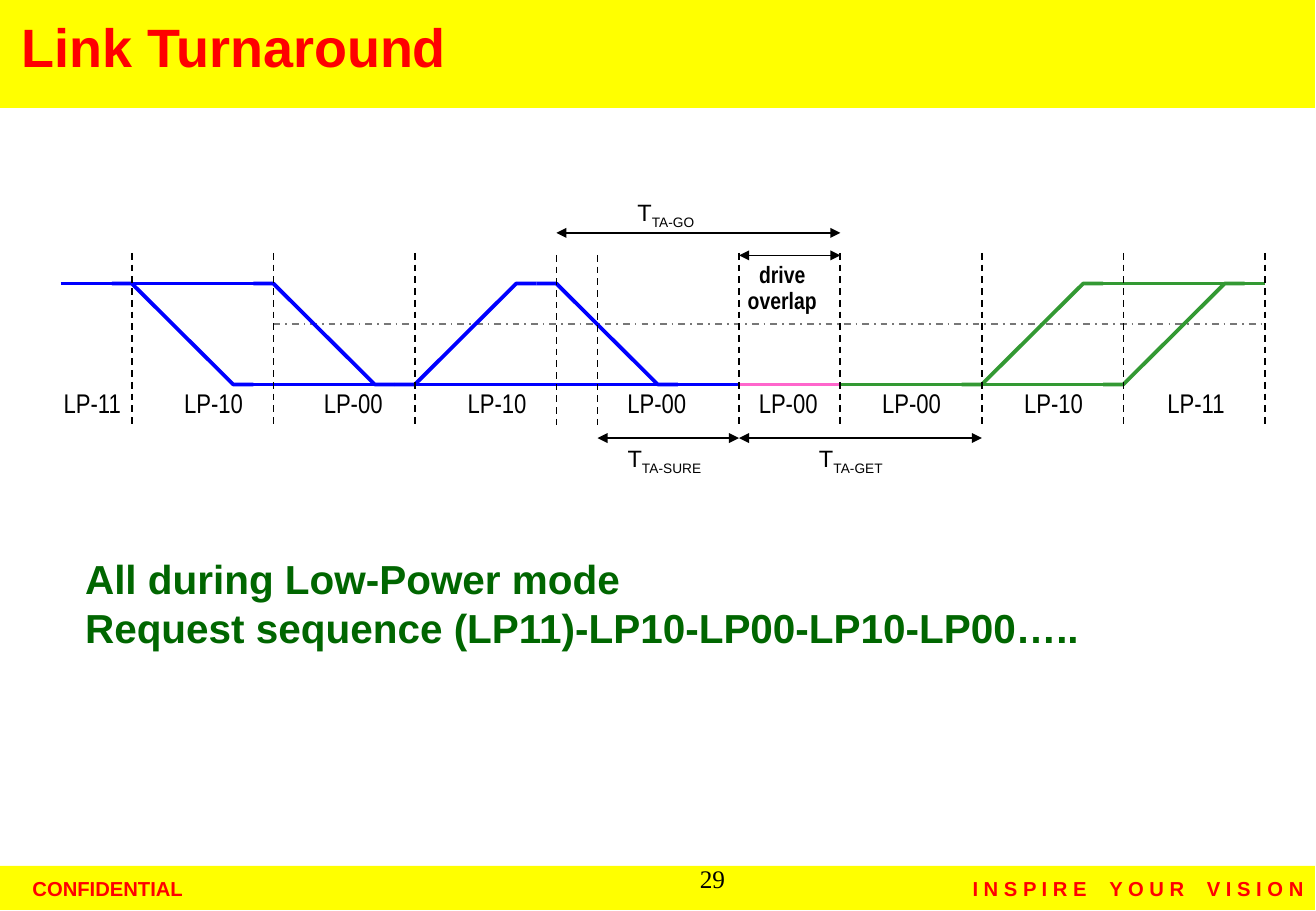
import pptx
import pptx.dml.color
import pptx.enum.dml
import pptx.enum.shapes
import pptx.enum.text
import pptx.oxml.ns
import pptx.util

Cm, Pt = pptx.util.Cm, pptx.util.Pt
RGB = pptx.dml.color.RGBColor.from_string
ALIGN = pptx.enum.text.PP_ALIGN
DASH = pptx.enum.dml.MSO_LINE
COLORS = {"bar": "FFFF00", "red": "FF0000", "body": "006600", "black": "000000",
          "master": "0000FF", "slave": "339933", "overlap": "FF66CC", "threshold": "777777"}


def add_line(x1, y1, x2, y2, color, width=1, dash=None, arrows=False):
    line = page.shapes.add_connector(
        pptx.enum.shapes.MSO_CONNECTOR.STRAIGHT, Cm(x1), Cm(y1), Cm(x2), Cm(y2))
    line.line.color.rgb = RGB(COLORS[color])
    line.line.width = Pt(width)
    if dash:
        line.line.dash_style = dash
    if arrows:
        outline = line.line._get_or_add_ln()
        for end in ("a:headEnd", "a:tailEnd"):
            outline.append(outline.makeelement(pptx.oxml.ns.qn(end), {"type": "triangle"}))
    properties = line._element.spPr
    properties.append(properties.makeelement(pptx.oxml.ns.qn("a:effectLst"), {}))


def write(box, paragraphs, size, color, font="Arial", bold=False, align=ALIGN.LEFT,
          spacing=1.0, before=0, margins=(0.25, 0.13), wrap=True):
    """Fill a shape with paragraphs, each a list of (text, run attributes)."""
    frame = box.text_frame
    frame.word_wrap = wrap
    frame.margin_left = frame.margin_right = Cm(margins[0])
    frame.margin_top = frame.margin_bottom = Cm(margins[1])
    for number, spans in enumerate(paragraphs):
        para = frame.add_paragraph() if number else frame.paragraphs[0]
        para.alignment = align
        para.line_spacing = spacing
        para.space_before = Pt(before)
        para.font.size = Pt(size)
        para.font.name = font
        para.font.bold = bold
        para.font.color.rgb = RGB(COLORS[color])
        for text, attributes in spans:
            span = para.add_run()
            span.text = text
            for name, value in attributes.items():
                span.font._element.set(name, value)


deck = pptx.Presentation()
deck.slide_width, deck.slide_height = Cm(27.53), Cm(19.05)
page = deck.slides.add_slide(deck.slide_layouts[5])

# Yellow bars behind the title and the footer
for top, height in ((0, 2.26), (18.11, 0.92)):
    bar = page.shapes.add_shape(pptx.enum.shapes.MSO_SHAPE.RECTANGLE,
                                Cm(0), Cm(top), Cm(27.51), Cm(height))
    bar.shadow.inherit = False
    bar.fill.solid()
    bar.fill.fore_color.rgb = RGB(COLORS["bar"])
    bar.line.fill.background()
    page.shapes._spTree.insert(2, bar._element)

title = page.shapes.title
title.left, title.top, title.width, title.height = Cm(0.15), Cm(0.13), Cm(26.87), Cm(1.9)
title.text_frame.vertical_anchor = pptx.enum.text.MSO_ANCHOR.TOP
write(title, [[("Link Turnaround", {})]], 32, "red", bold=True, margins=(0.3, 0.15))

body = page.shapes.add_textbox(Cm(1.48), Cm(11.63), Cm(25.4), Cm(4.83))
write(body, [[("All during Low-Power mode", {})],
             [("Request sequence (LP11)-LP10-LP00-LP10-LP00…..", {})]],
      24, "body", bold=True, spacing=0.8, before=6, margins=(0.3, 0.15))

# Time marks: equal states before and after the drive overlap
STATE, RAMP, LEAD = 2.96, 2.12, 0.42
HIGH, LOW, THRESHOLD = 5.93, 8.04, 6.77
start, sure, overlap_start, overlap_end = 2.76, 12.5, 15.46, 17.58
before_overlap = [start + STATE * step for step in range(4)]
after_overlap = [overlap_end + STATE * step for step in range(4)]
go = before_overlap[3]
get_end, finish = after_overlap[1], after_overlap[3]

# Signal levels
add_line(before_overlap[1], THRESHOLD, finish, THRESHOLD, "threshold", dash=DASH.DASH_DOT)
for x1, x2, level, color in (
        (1.27, before_overlap[1], HIGH, "master"),
        (5.08, overlap_start, LOW, "master"),
        (overlap_start, overlap_end, LOW, "overlap"),
        (overlap_end, 23.29, LOW, "slave"),
        (22.86, finish, HIGH, "slave")):
    add_line(x1, level, x2, level, color, 2.25)

# Signal edges
for x, first, last, color in (
        (before_overlap[0], HIGH, LOW, "master"),
        (before_overlap[1], HIGH, LOW, "master"),
        (before_overlap[2], LOW, HIGH, "master"),
        (go, HIGH, LOW, "master"),
        (after_overlap[1], LOW, HIGH, "slave"),
        (after_overlap[2], LOW, HIGH, "slave")):
    builder = page.shapes.build_freeform(Cm(x - LEAD), Cm(first))
    builder.add_line_segments([(Cm(x), Cm(first)), (Cm(x + RAMP), Cm(last)),
                               (Cm(x + RAMP + LEAD), Cm(last))], close=False)
    edge = builder.convert_to_shape()
    edge.shadow.inherit = False
    edge.fill.background()
    edge.line.color.rgb = RGB(COLORS[color])
    edge.line.width = Pt(2.25)

for x in before_overlap + [sure, overlap_start] + after_overlap:
    add_line(x, 5.33 if x in (go, sure) else 5.29, x, 8.88, "black", dash=DASH.DASH)

# Time spans
for x1, x2, y in ((go, overlap_end, 4.87), (overlap_start, overlap_end, 5.34),
                  (sure, overlap_start, 9.16), (overlap_start, get_end, 9.16)):
    add_line(x1, y, x2, y, "black", arrows=True)

for name, center, top in (("TA-GO", 13.93, 4.01), ("TA-SURE", 13.9, 9.17),
                          ("TA-GET", 17.8, 9.17)):
    box = page.shapes.add_textbox(Cm(center - 1.5), Cm(top), Cm(3), Cm(0.86))
    write(box, [[("T", {}), (name, {"baseline": "-25000"})]], 14, "black",
          align=ALIGN.CENTER, spacing=0.9, wrap=False)

box = page.shapes.add_textbox(Cm(15.36), Cm(5.51), Cm(2.01), Cm(1.07))
write(box, [[("drive", {})], [("overlap", {})]], 14, "black", "Arial Narrow", True,
      ALIGN.CENTER, 0.9, margins=(0.15, 0))

for name, center in (("LP-11", 1.93), ("LP-10", 4.47), ("LP-00", 7.39), ("LP-10", 10.4),
                     ("LP-00", 13.74), ("LP-00", 16.49), ("LP-00", 19.07),
                     ("LP-10", 22.04), ("LP-11", 25.02)):
    box = page.shapes.add_textbox(Cm(center - 1.25), Cm(8.03), Cm(2.5), Cm(0.86))
    write(box, [[(name, {})]], 16, "black", "Arial Narrow", align=ALIGN.CENTER,
          spacing=0.9, wrap=False)

# Footer; the spaces between the words of the motto are widened
wide_space = (" ", {"spc": "1000"})
motto = [("I N S P I R E", {}), wide_space, ("Y O U R", {}), wide_space,
         ("V I S I O N", {})]
for spans, left, width, align in (([("CONFIDENTIAL", {})], 0.43, 4.88, ALIGN.LEFT),
                                  (motto, 19.37, 8.15, ALIGN.RIGHT)):
    box = page.shapes.add_textbox(Cm(left), Cm(18.19), Cm(width), Cm(0.76))
    write(box, [spans], 12, "red", bold=True, align=align, before=7.5)

box = page.shapes.add_textbox(Cm(14.36), Cm(17.92), Cm(1.7), Cm(1.13))
write(box, [[("29", {})]], 15, "black", "Times New Roman", margins=(0.28, 0.13))

deck.save("out.pptx")
